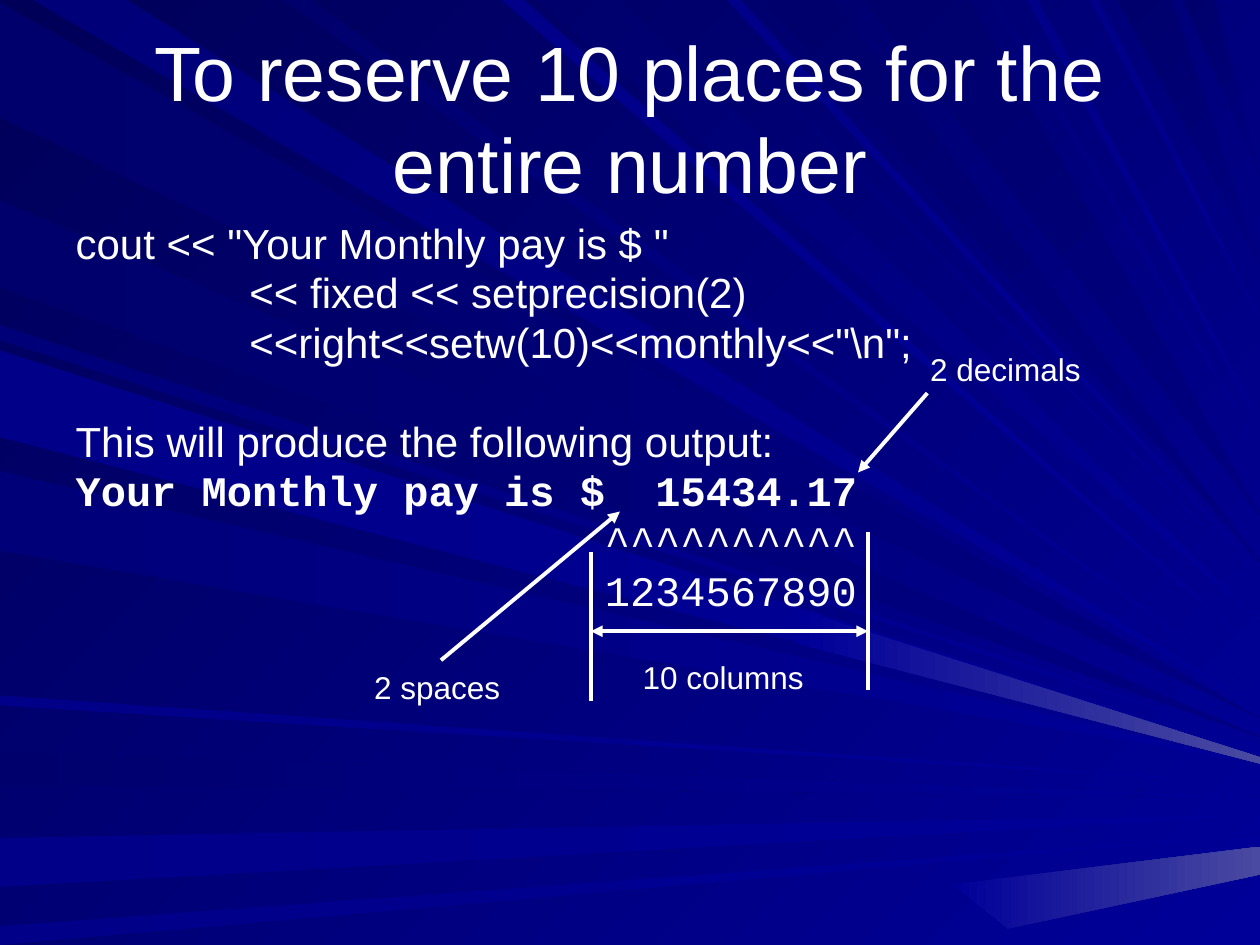
from typing import NamedTuple

import pptx
import pptx.dml.color
import pptx.enum.shapes
import pptx.enum.text
import pptx.oxml
import pptx.oxml.ns
import pptx.util

PX = 9144  # EMU per px, at 100 px to the inch
WIDTH, HEIGHT = 1000, 750
FONT_SIZES = {"title": 44, "body": 24, "label": 18}
COLORS = {
    "text": "FFFFFF",
    "night": "000058",
    "deep": "00006D",
    "dusk": "000078",
    "soft": "000088",
    "navy": "000080",
    "blue": "000099",
    "glint": "4A4AA1",
}
LINE_HEIGHT = 0.8
GAP = 5.5  # points between body lines
BLANK_LINE = 33  # points between the code and its output
CODE_INDENT = 138
OUTPUT_INDENT = 420  # width of 21 monospaced characters


class Ray(NamedTuple):
    """A wedge from a stretch of the left or top edge to a tip on the right edge."""
    edge: str
    first: int
    last: int
    tip: int
    start: str
    end: str = "blue"


class Line(NamedTuple):
    text: str
    indent: int = 0
    font: str = "Arial"
    bold: bool = False
    before: float = GAP


class Label(NamedTuple):
    text: str
    left: int
    top: int
    width: int


class Rule(NamedTuple):
    start: tuple[int, int]
    end: tuple[int, int]
    arrows: tuple[str, ...] = ()


RAYS = [
    Ray("left", 2, 93, 570, "deep", "navy"),
    Ray("top", 26, 101, 563, "dusk"),
    Ray("left", 596, 623, 632, "deep"),
    Ray("left", 665, 704, 647, "soft"),
    Ray("left", 735, 750, 662, "soft"),
    Ray("left", 258, 270, 589, "dusk"),
    Ray("left", 159, 228, 585, "deep", "navy"),
    Ray("top", 398, 416, 518, "soft"),
    Ray("top", 426, 492, 493, "deep"),
    Ray("top", 540, 552, 463, "deep"),
    Ray("top", 606, 661, 446, "deep", "navy"),
    Ray("top", 887, 930, 210, "deep", "navy"),
    Ray("top", 939, 964, 140, "deep", "navy"),
    Ray("left", 278, 342, 600, "soft"),
    Ray("left", 374, 437, 606, "dusk"),
    Ray("left", 552, 560, 622, "soft"),
    Ray("top", 225, 247, 550, "deep"),
    Ray("top", 577, 588, 454, "soft"),
    Ray("top", 686, 770, 409, "deep", "navy"),
    Ray("top", 785, 792, 357, "dusk"),
    Ray("top", 815, 824, 336, "soft"),
    Ray("top", 865, 872, 254, "soft"),
    Ray("left", 283, 347, 604, "soft"),
]
GLINTS = [
    [(637, 485), (633, 511), (WIDTH, 606), (WIDTH, 601)],
    [(756, 702), (800, 737), (WIDTH, 694), (WIDTH, 672)],
]
LINES = [
    Line('cout << "Your Monthly pay is $ "', before=0),
    Line("<< fixed << setprecision(2)", CODE_INDENT),
    Line(r'<<right<<setw(10)<<monthly<<"\n";', CODE_INDENT),
    Line("This will produce the following output:", before=BLANK_LINE),
    Line("Your Monthly pay is $  15434.17", font="Courier New", bold=True),
    Line("^^^^^^^^^^", OUTPUT_INDENT, "Courier New"),
    Line("1234567890", OUTPUT_INDENT, "Courier New"),
]
COLUMN_LEFT, COLUMN_RIGHT, SPAN_Y = 469, 689, 501
RULES = [
    Rule((COLUMN_LEFT, 438), (COLUMN_LEFT, 556)),
    Rule((COLUMN_RIGHT, 422), (COLUMN_RIGHT, 548)),
    Rule((COLUMN_LEFT, SPAN_Y), (COLUMN_RIGHT, SPAN_Y), ("headEnd", "tailEnd")),
    Rule((350, 524), (492, 406), ("tailEnd",)),
    Rule((736, 312), (681, 375), ("tailEnd",)),
]
LABELS = [
    Label("10 columns", 500, 517, 148),
    Label("2 spaces", 287, 525, 120),
    Label("2 decimals", 728, 273, 140),
]


def rgb(name: str) -> pptx.dml.color.RGBColor:
    return pptx.dml.color.RGBColor.from_string(COLORS[name])


def fill_gradient(fill, start: str, end: str, angle: int) -> None:
    fill.gradient()
    fill.gradient_angle = -angle % 360
    for stop, color in zip(fill.gradient_stops, (start, end)):
        stop.color.rgb = rgb(color)


def place(shape, left: int, top: int, width: int, height: int) -> None:
    box = {"left": left, "top": top, "width": width, "height": height}
    for name, value in box.items():
        setattr(shape, name, value * PX)


def format_font(font, role: str, name: str = "Arial", bold: bool = False) -> None:
    values = {"name": name, "size": pptx.util.Pt(FONT_SIZES[role]), "bold": bold}
    for attribute, value in values.items():
        setattr(font, attribute, value)
    font.color.rgb = rgb("text")


def draw_polygon(slide, points: list, start: str, end: str, angle: int) -> None:
    builder = slide.shapes.build_freeform(*points[0], scale=PX)
    builder.add_line_segments(points[1:], close=True)
    shape = builder.convert_to_shape()
    shape.shadow.inherit = False
    shape.line.fill.background()
    fill_gradient(shape.fill, start, end, angle)


def draw_ray(slide, ray: Ray) -> None:
    from_top = ray.edge == "top"
    base = [(at, 0) if from_top else (0, at) for at in (ray.first, ray.last)]
    angle = 45 if from_top else 0
    draw_polygon(slide, base + [(WIDTH, ray.tip)], ray.start, ray.end, angle)


def write_line(paragraph, line: Line) -> None:
    properties = paragraph._p.get_or_add_pPr()
    properties.set("marL", str(line.indent * PX))
    properties.set("indent", "0")
    paragraph.line_spacing = LINE_HEIGHT
    paragraph.space_before = pptx.util.Pt(line.before)
    properties.append(pptx.oxml.parse_xml(f"<a:buNone {pptx.oxml.ns.nsdecls('a')}/>"))
    run = paragraph.add_run()
    run.text = line.text
    format_font(run.font, "body", line.font, line.bold)


def draw_rule(slide, rule: Rule) -> None:
    ends = [value * PX for value in rule.start + rule.end]
    connector = slide.shapes.add_connector(pptx.enum.shapes.MSO_CONNECTOR.STRAIGHT, *ends)
    connector.line.width = pptx.util.Pt(2.25)
    connector.line.color.rgb = rgb("text")
    namespace = pptx.oxml.ns.nsdecls("a")
    outline = connector.element.spPr.find(pptx.oxml.ns.qn("a:ln"))
    for arrow in rule.arrows:
        outline.append(pptx.oxml.parse_xml(f'<a:{arrow} {namespace} type="triangle"/>'))
    connector.element.spPr.append(pptx.oxml.parse_xml(f"<a:effectLst {namespace}/>"))


def draw_label(slide, label: Label) -> None:
    box = [value * PX for value in (label.left, label.top, label.width, 40)]
    shape = slide.shapes.add_textbox(*box)
    shape.text_frame.word_wrap = False
    shape.text_frame.auto_size = pptx.enum.text.MSO_AUTO_SIZE.SHAPE_TO_FIT_TEXT
    paragraph = shape.text_frame.paragraphs[0]
    paragraph.alignment = pptx.enum.text.PP_ALIGN.CENTER
    run = paragraph.add_run()
    run.text = label.text
    format_font(run.font, "label")


def main() -> None:
    presentation = pptx.Presentation()
    presentation.slide_width, presentation.slide_height = WIDTH * PX, HEIGHT * PX
    slide = presentation.slides.add_slide(presentation.slide_layouts[1])
    title, body = slide.placeholders

    # Background and its rays, behind the text
    fill_gradient(slide.background.fill, "night", "blue", 45)
    for ray in RAYS:
        draw_ray(slide, ray)
    for points in GLINTS:
        draw_polygon(slide, points, "blue", "glint", 0)
    for placeholder in (title, body):
        slide.shapes.element.append(placeholder.element)
        placeholder.text_frame.auto_size = pptx.enum.text.MSO_AUTO_SIZE.NONE

    # Title
    place(title, 50, 30, 900, 125)
    title.text_frame.text = "To reserve 10 places for the entire number"
    format_font(title.text_frame.paragraphs[0].runs[0].font, "title")

    # Code and its output
    place(body, 50, 175, 900, 326)
    frame = body.text_frame
    for index, line in enumerate(LINES):
        write_line(frame.add_paragraph() if index else frame.paragraphs[0], line)

    # Column markers, arrows and their labels
    for rule in RULES:
        draw_rule(slide, rule)
    for label in LABELS:
        draw_label(slide, label)

    presentation.save("out.pptx")


if __name__ == "__main__":
    main()
